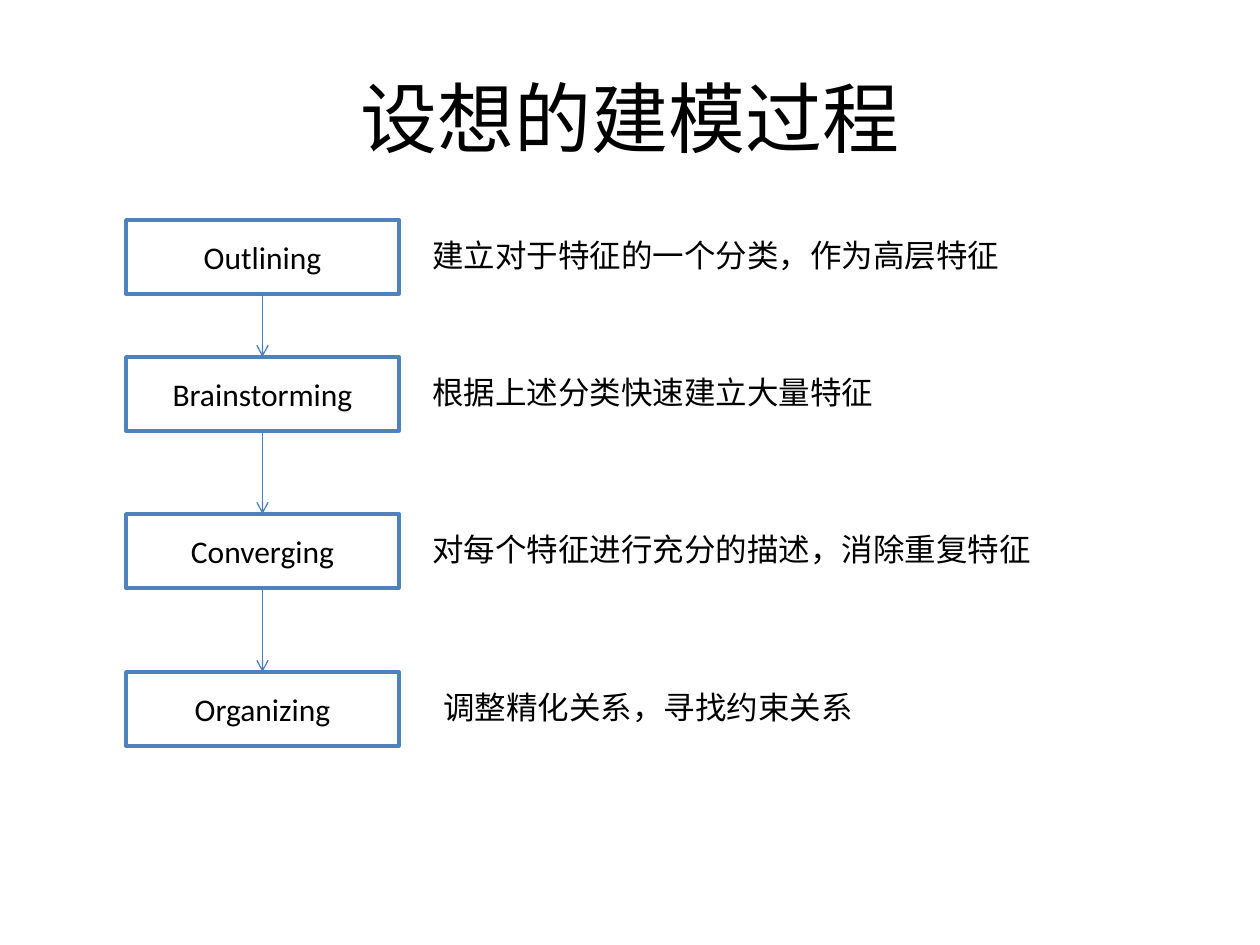
from lxml import etree
from pptx import Presentation, util as u
from pptx.dml.color import RGBColor
from pptx.enum import shapes, text
from pptx.oxml.ns import qn

PX_PER_INCH = 126
FONT = "Calibri"
BLACK, WHITE, BLUE, ARROW_BLUE = "000000", "FFFFFF", "4F81BD", "4B7EBC"

STEP_LEFT, STEP_WIDTH, STEP_HEIGHT = 126, 273, 74
NOTE_OFFSET, NOTE_HEIGHT = 10, 51

# Step name, top, description, description left, description width
STEPS = [
    ("Outlining", 220, "建立对于特征的一个分类，作为高层特征", 420, 599),
    ("Brainstorming", 357, "根据上述分类快速建立大量特征", 420, 471),
    ("Converging", 514, "对每个特征进行充分的描述，消除重复特征", 420, 630),
    ("Organizing", 672, "调整精化关系，寻找约束关系", 431, 438),
]


def px(*lengths):
    return [u.Emu(round(n * 914400 / PX_PER_INCH)) for n in lengths]


def color(hex_value):
    return RGBColor.from_string(hex_value)


def write(frame, words, size, align, anchor):
    frame.text = words
    frame.vertical_anchor = anchor
    paragraph = frame.paragraphs[0]
    paragraph.alignment = align
    paragraph.font.name = FONT
    paragraph.font.size = u.Pt(size)
    paragraph.font.color.rgb = color(BLACK)


def set_title(slide, words):
    title = slide.shapes.title
    title.left, title.top, title.width, title.height = px(63, 38, 1134, 157)
    write(title.text_frame, words, 44, text.PP_ALIGN.CENTER, text.MSO_ANCHOR.MIDDLE)


def add_step(slide, name, top):
    step = slide.shapes.add_shape(
        shapes.MSO_SHAPE.RECTANGLE, *px(STEP_LEFT, top, STEP_WIDTH, STEP_HEIGHT))
    step.shadow.inherit = False
    step.fill.solid()
    step.fill.fore_color.rgb = color(WHITE)
    step.line.color.rgb = color(BLUE)
    step.line.width = u.Pt(2)
    write(step.text_frame, name, 18, text.PP_ALIGN.CENTER, text.MSO_ANCHOR.MIDDLE)


def add_description(slide, words, left, top, width):
    description = slide.shapes.add_textbox(*px(left, top, width, NOTE_HEIGHT))
    frame = description.text_frame
    frame.word_wrap = False
    frame.auto_size = text.MSO_AUTO_SIZE.SHAPE_TO_FIT_TEXT
    write(frame, words, 18, text.PP_ALIGN.LEFT, text.MSO_ANCHOR.TOP)


def add_arrow(slide, start, end):
    center = STEP_LEFT + STEP_WIDTH / 2
    arrow = slide.shapes.add_connector(
        shapes.MSO_CONNECTOR.STRAIGHT, *px(center, start, center, end))
    arrow.line.color.rgb = color(ARROW_BLUE)
    arrow.line.width = u.Pt(0.75)
    etree.SubElement(arrow.line._get_or_add_ln(), qn("a:tailEnd"), type="arrow")
    etree.SubElement(arrow._element.spPr, qn("a:effectLst"))


def main():
    prs = Presentation()
    prs.slide_width, prs.slide_height = u.Inches(10), u.Inches(7.5)
    slide = prs.slides.add_slide(prs.slide_layouts[5])
    set_title(slide, "设想的建模过程")

    # Steps with their descriptions
    for name, top, words, left, width in STEPS:
        add_step(slide, name, top)
        add_description(slide, words, left, top + NOTE_OFFSET, width)

    # Arrows from each step to the next
    tops = [step[1] for step in STEPS]
    for top, next_top in zip(tops, tops[1:]):
        add_arrow(slide, top + STEP_HEIGHT, next_top)

    prs.save("out.pptx")


if __name__ == "__main__":
    main()
